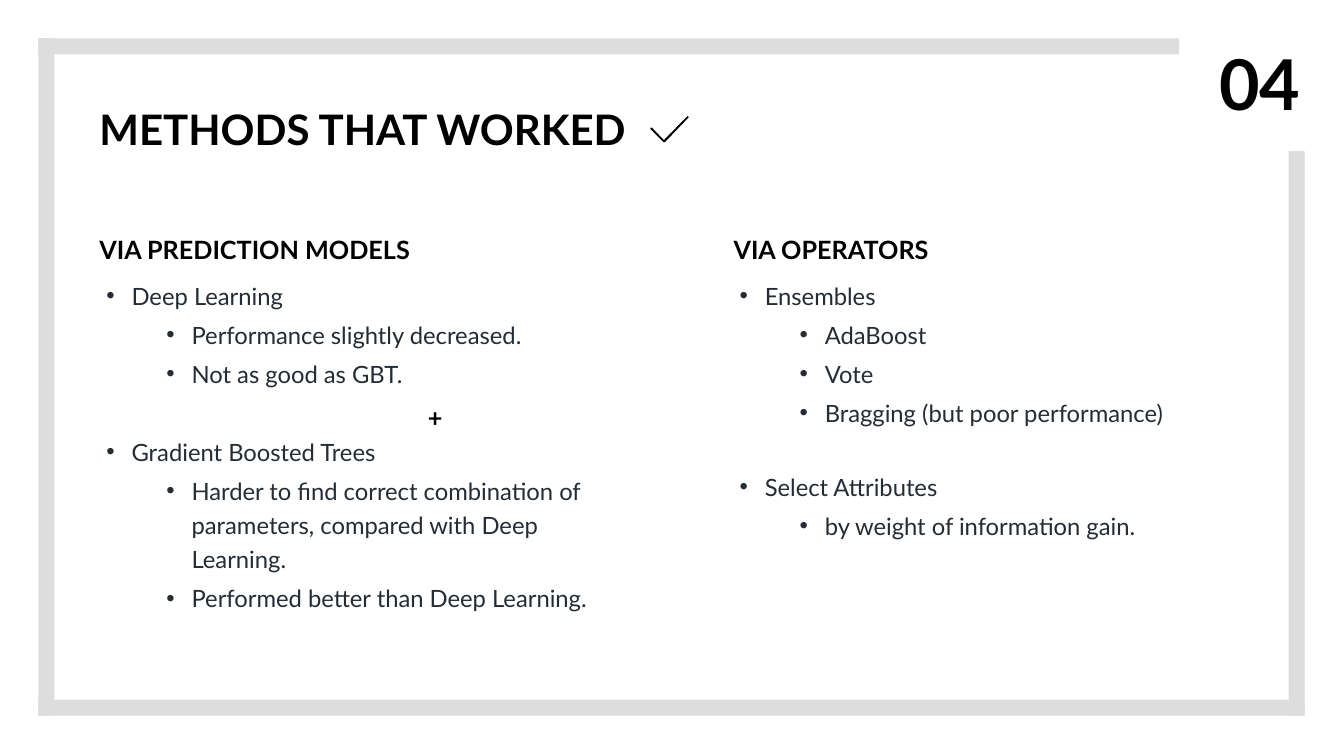
from dataclasses import dataclass

from lxml.etree import SubElement
from pptx import Presentation
from pptx.dml.color import RGBColor
from pptx.enum.shapes import MSO_SHAPE as Preset
from pptx.enum.text import MSO_ANCHOR as Anchor, MSO_AUTO_SIZE as AutoSize, PP_ALIGN as Align
from pptx.oxml.ns import qn
from pptx.util import Inches, Pt

COLORS = {"black": "000000", "body": "242C35", "frame": "DDDDDD"}
FONT = "Lato"
MARGIN = 0.76
BAR = 0.32
BULLET_GAP = 6.8
BULLET_INDENTS = (0.5, 1.69)
HEADING_TOP = 4.6
LIST_TOP = 5.35


@dataclass
class Area:
    left: float
    top: float
    width: float
    height: float

    def lengths(self) -> tuple:
        return tuple(Inches(v) for v in (self.left, self.top, self.width, self.height))


@dataclass
class Item:
    text: str
    level: int = 0
    before: float = BULLET_GAP


@dataclass
class Column:
    heading: str
    heading_left: float
    list_area: Area
    items: list[Item]


FRAME_BARS = [
    Area(MARGIN, MARGIN, 22.63, BAR),
    Area(MARGIN, 13.88, 25.12, BAR),
    Area(MARGIN, MARGIN, BAR, 13.44),
    Area(25.56, 3, BAR, 11.2),
]

COLUMNS = [
    Column("VIA PREDICTION MODELS", 1.87, Area(1.87, LIST_TOP, 10.05, 6.63), [
        Item("Deep Learning", before=0),
        Item("Performance slightly decreased.", 1),
        Item("Not as good as GBT.", 1),
        Item("Gradient Boosted Trees", before=62.5),
        Item("Harder to find correct combination of parameters, "
             "compared with Deep Learning.", 1),
        Item("Performed better than Deep Learning.", 1),
    ]),
    Column("VIA OPERATORS", 14.45, Area(14.43, LIST_TOP, 10.05, 4.8), [
        Item("Ensembles", before=0),
        Item("AdaBoost", 1),
        Item("Vote", 1),
        Item("Bragging (but poor performance)", 1),
        Item("Select Attributes", before=56.8),
        Item("by weight of information gain.", 1),
    ]),
]

CHECK_POINTS = [
    (1366, 232), (1364, 230), (1363, 231), (1317, 278), (1293, 253), (1291, 253),
    (1290, 255), (1290, 256), (1316, 282), (1319, 282), (1366, 233),
]


def rgb(name: str) -> RGBColor:
    return RGBColor.from_string(COLORS[name])


def prepare_box(box, area: Area, side: float = 0.1, edge: float = 0.05):
    box.left, box.top, box.width, box.height = area.lengths()
    frame = box.text_frame
    frame.word_wrap = True
    frame.auto_size = AutoSize.NONE
    frame.vertical_anchor = Anchor.TOP
    frame.margin_left = frame.margin_right = Inches(side)
    frame.margin_top = frame.margin_bottom = Inches(edge)
    return frame


def add_span(para, text: str, size: float, color: str, bold: bool) -> None:
    span = para.add_run()
    span.text = text
    span.font.name = FONT
    span.font.size = Pt(size)
    span.font.bold = bold
    span.font.color.rgb = rgb(color)


def write_label(box, area: Area, text: str, size: float, align=Align.LEFT) -> None:
    para = prepare_box(box, area).paragraphs[0]
    para.alignment = align
    para.space_before = Pt(0)
    add_span(para, text, size, "black", True)


def add_bullet(para, level: int) -> None:
    props = para._p.get_or_add_pPr()
    props.set("marL", str(Inches(BULLET_INDENTS[level])))
    props.set("indent", str(Inches(-0.5)))
    color = SubElement(props, qn("a:buClr"))
    SubElement(color, qn("a:srgbClr"), val=COLORS["body"])
    SubElement(props, qn("a:buFont"), typeface="Arial")
    SubElement(props, qn("a:buChar"), char="•")


def write_list(box, area: Area, items: list[Item]) -> None:
    frame = prepare_box(box, area, 0.24, 0.12)
    for index, item in enumerate(items):
        para = frame.add_paragraph() if index else frame.paragraphs[0]
        add_bullet(para, item.level)
        para.level = item.level
        para.alignment = Align.LEFT
        para.line_spacing = 1.2
        para.space_before = Pt(item.before)
        add_span(para, item.text, 34, "body", False)


def paint(shape, color: str) -> None:
    shape.shadow.inherit = False
    shape.fill.solid()
    shape.fill.fore_color.rgb = rgb(color)
    shape.line.fill.background()


def add_check_mark(page) -> None:
    builder = page.shapes.build_freeform(*CHECK_POINTS[0], scale=Inches(0.01))
    builder.add_line_segments(CHECK_POINTS[1:], close=True)
    paint(builder.convert_to_shape(), "black")


def add_label(page, area: Area, text: str, size: float, align=Align.LEFT) -> None:
    write_label(page.shapes.add_textbox(*area.lengths()), area, text, size, align)


def main() -> None:
    deck = Presentation()
    deck.slide_width, deck.slide_height = Inches(26.66), Inches(15)
    page = deck.slides.add_slide(deck.slide_layouts.get_by_name("Comparison"))

    write_label(page.shapes.title, Area(1.87, 2.01, 11.03, 1.11), "METHODS THAT WORKED", 60)
    for number, column in enumerate(COLUMNS):
        heading = page.placeholders[2 * number + 1]
        body = page.placeholders[2 * number + 2]
        write_label(heading, Area(column.heading_left, HEADING_TOP, 6.78, 0.71),
                    column.heading, 36)
        write_list(body, column.list_area, column.items)

    for area in FRAME_BARS:
        paint(page.shapes.add_shape(Preset.RECTANGLE, *area.lengths()), "frame")
    add_label(page, Area(23.67, MARGIN, 2.22, 1.78), "04", 100, Align.RIGHT)
    add_label(page, Area(8.39, 7.94, 0.6, 0.71), "+", 36)
    add_check_mark(page)
    deck.save("out.pptx")


if __name__ == "__main__":
    main()
